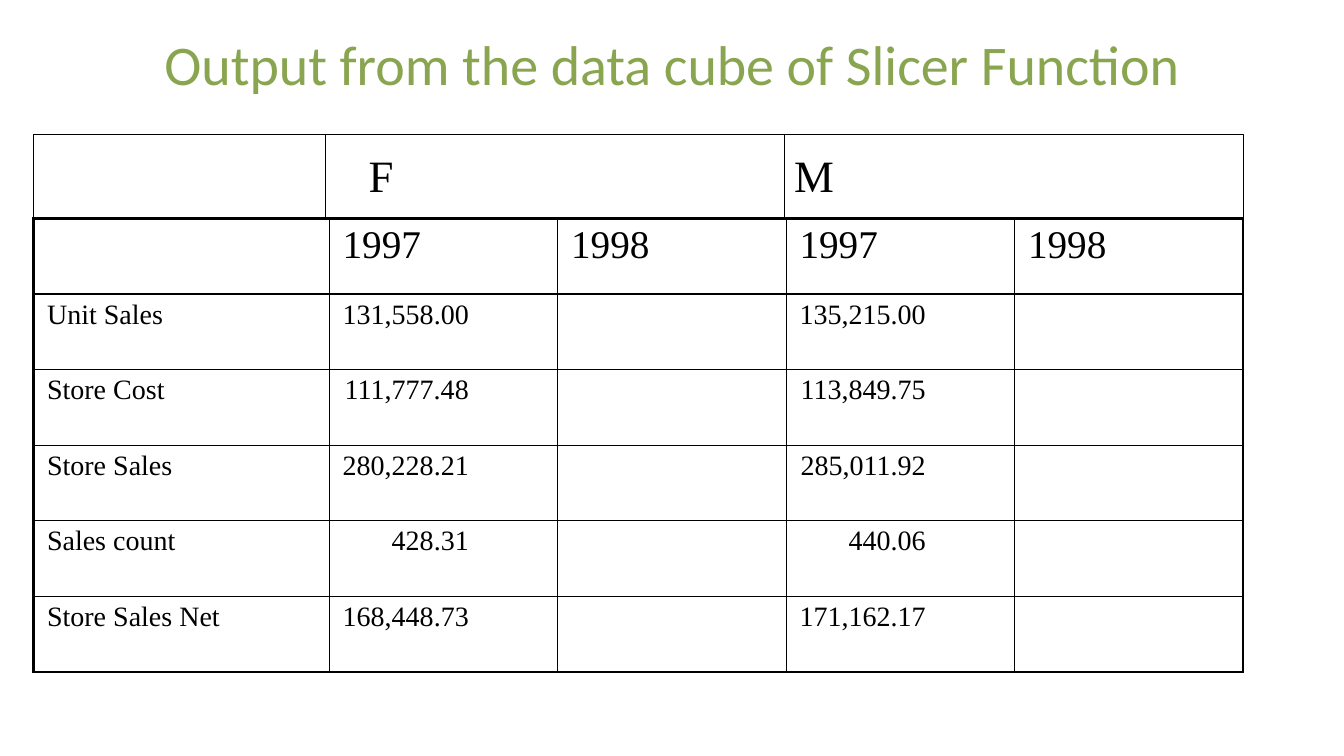
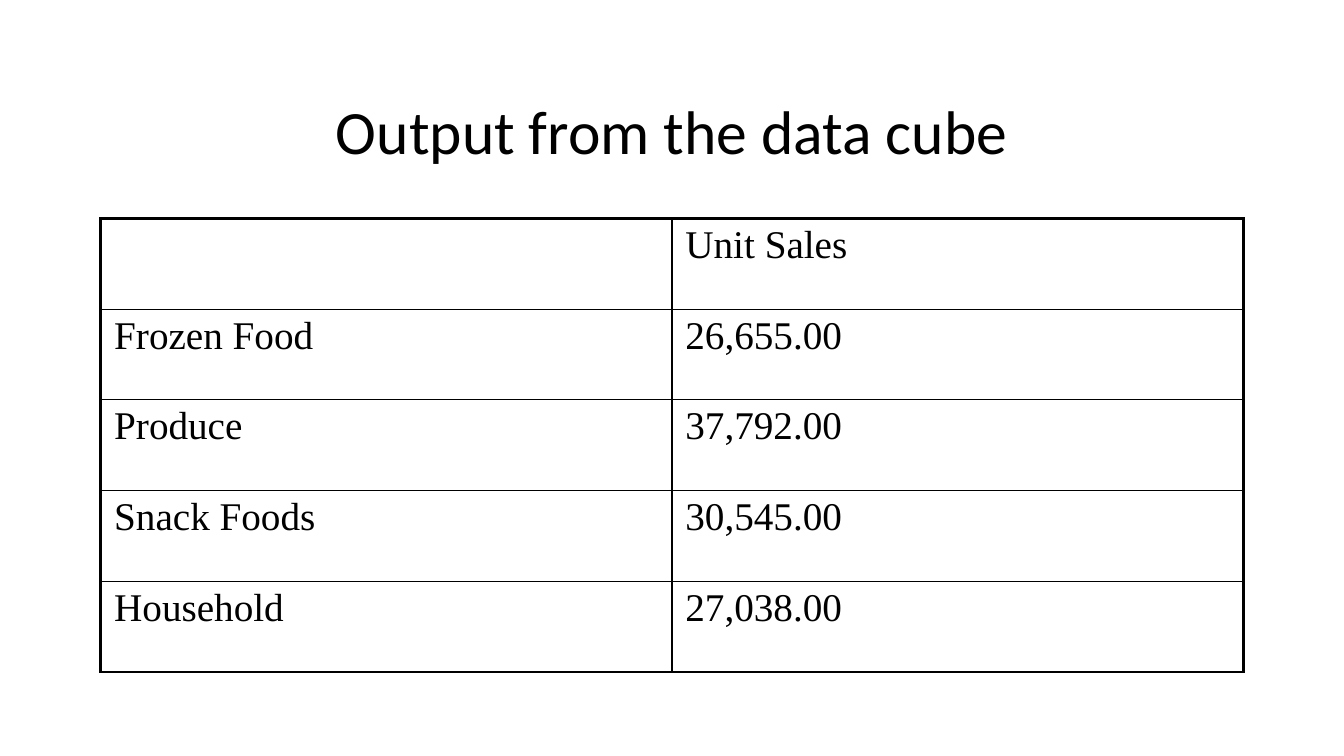
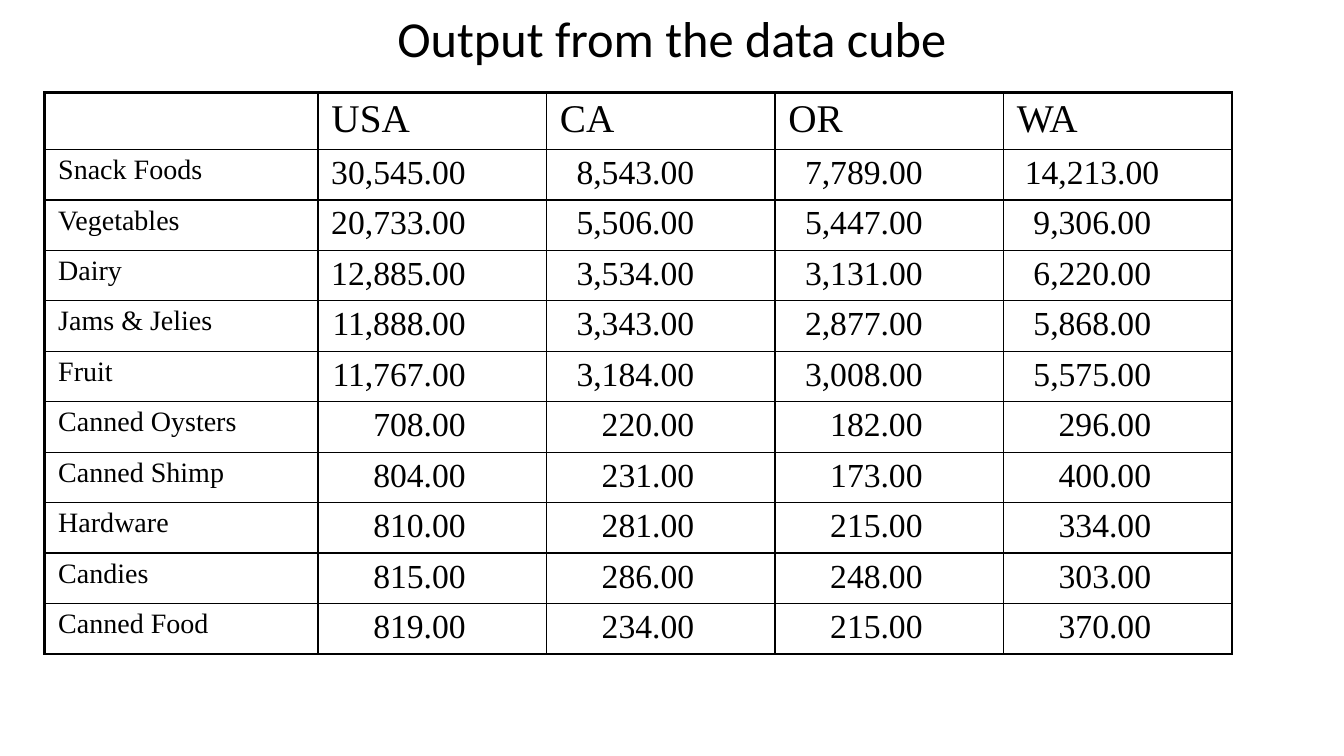
from lxml import etree
from pptx import Presentation
from pptx.dml.color import RGBColor
from pptx.enum import shapes, text
from pptx.oxml import ns
from pptx.util import Pt

INK = "000000"
GREEN = "89A54F"
TITLE_FONT = "Calibri"
BODY_FONT = "Times New Roman"
OUTER, INNER, HAIRLINE = 2.25, 1, 0.75
CELL_INSET = 9.6


def color(hex_string):
    return RGBColor.from_string(hex_string)


def write(frame, content, *, size, font=BODY_FONT, ink=INK,
          align=text.PP_ALIGN.LEFT):
    paragraph = frame.paragraphs[0]
    paragraph.alignment = align
    run = paragraph.add_run()
    run.text = content
    run.font.name = font
    run.font.size = Pt(size)
    run.font.color.rgb = color(ink)


def add_text(slide, box, content, *, anchor=text.MSO_ANCHOR.TOP, **style):
    frame = slide.shapes.add_textbox(*map(Pt, box)).text_frame
    frame.word_wrap = True
    frame.vertical_anchor = anchor
    write(frame, content, **style)


def add_title(slide, box, content, size, ink=INK):
    add_text(slide, box, content, anchor=text.MSO_ANCHOR.MIDDLE, size=size,
             font=TITLE_FONT, ink=ink, align=text.PP_ALIGN.CENTER)


def add_vertical_line(slide, x, top, bottom):
    line = slide.shapes.add_connector(
        shapes.MSO_CONNECTOR.STRAIGHT, Pt(x), Pt(top), Pt(x), Pt(bottom))
    line.line.color.rgb = color(INK)
    line.line.width = Pt(HAIRLINE)
    etree.SubElement(line._element.spPr, ns.qn("a:effectLst"))


def set_borders(cell, widths):
    """Draw the left, right, top and bottom borders, in that order."""
    properties = cell._tc.get_or_add_tcPr()
    for index, (side, width) in enumerate(zip("LRTB", widths)):
        border = etree.Element(ns.qn(f"a:ln{side}"), w=str(Pt(width)))
        fill = etree.SubElement(border, ns.qn("a:solidFill"))
        etree.SubElement(fill, ns.qn("a:srgbClr"), val=INK)
        properties.insert(index, border)


def add_grid(slide, box, rows, *, label_width, header_height, label_size,
             number_size, number_gap=None):
    """Add a framed table; number_gap is the space right of aligned numbers."""
    left, top, width, height = box
    last_row, last_column = len(rows) - 1, len(rows[0]) - 1
    table = slide.shapes.add_table(
        len(rows), len(rows[0]), *map(Pt, box)).table
    table.first_row = table.horz_banding = False
    for index, column in enumerate(table.columns):
        column.width = Pt((width - label_width) / last_column
                          if index else label_width)
    for index, row in enumerate(table.rows):
        row.height = Pt((height - header_height) / last_row
                        if index else header_height)

    for r, values in enumerate(rows):
        for c, value in enumerate(values):
            cell = table.cell(r, c)
            aligned = bool(r and c and number_gap)
            cell.margin_left = Pt(0 if aligned else CELL_INSET)
            cell.margin_right = Pt(number_gap if aligned else CELL_INSET)
            cell.margin_top = cell.margin_bottom = Pt(3.6)
            cell.fill.background()
            edges = (c == 0, c == last_column, r == 0, r == last_row)
            set_borders(cell, [OUTER if edge else INNER for edge in edges])
            if value:
                size = 28 if r == 0 else number_size if c else label_size
                write(cell.text_frame, value, size=size,
                      align=text.PP_ALIGN.RIGHT if aligned
                      else text.PP_ALIGN.LEFT)
    return table


def add_gender_band(slide, box):
    left, top, width, height = box
    band = slide.shapes.add_shape(
        shapes.MSO_SHAPE.RECTANGLE, *map(Pt, box))
    band.shadow.inherit = False
    band.fill.background()
    band.line.color.rgb = color(INK)
    band.line.width = Pt(HAIRLINE)
    for label, divider, indent in (("F", 208.2, 24), ("M", 536.2, 0)):
        add_vertical_line(slide, left + divider, top, top + height)
        add_text(slide, (left + divider + indent, top + 6, 112, 45), label,
                 size=32)


def slicer_slide(slide):
    add_title(slide, (-24, 0, 1008, 90),
              "Output from the data cube of Slicer Function", 40, GREEN)
    rows = [
        ("", "1997", "1998", "1997", "1998"),
        ("Unit Sales", "131,558.00", "", "135,215.00", ""),
        ("Store Cost", "111,777.48", "", "113,849.75", ""),
        ("Store Sales", "280,228.21", "", "285,011.92", ""),
        ("Sales count", "428.31", "", "440.06", ""),
        ("Store Sales Net", "168,448.73", "", "171,162.17", ""),
    ]
    add_grid(slide, (24, 156, 864, 324), rows, label_width=211.2,
             header_height=54, label_size=20, number_size=20, number_gap=63.5)
    add_gender_band(slide, (24, 96, 864, 60))


def unit_sales_slide(slide):
    add_title(slide, (72, 48, 816, 90), "Output from the data cube", 44)
    rows = [
        ("", "Unit Sales"),
        ("Frozen Food", "26,655.00"),
        ("Produce", "37,792.00"),
        ("Snack Foods", "30,545.00"),
        ("Household", "27,038.00"),
    ]
    add_grid(slide, (72, 156, 816, 324), rows, label_width=408,
             header_height=64.8, label_size=28, number_size=28)


def state_sales_slide(slide):
    add_title(slide, (72, 0, 816, 54), "Output from the data cube", 36)
    rows = [
        ("", "USA", "CA", "OR", "WA"),
        ("Snack Foods", "30,545.00", "8,543.00", "7,789.00", "14,213.00"),
        ("Vegetables", "20,733.00", "5,506.00", "5,447.00", "9,306.00"),
        ("Dairy", "12,885.00", "3,534.00", "3,131.00", "6,220.00"),
        ("Jams & Jelies", "11,888.00", "3,343.00", "2,877.00", "5,868.00"),
        ("Fruit", "11,767.00", "3,184.00", "3,008.00", "5,575.00"),
        ("Canned Oysters", "708.00", "220.00", "182.00", "296.00"),
        ("Canned Shimp", "804.00", "231.00", "173.00", "400.00"),
        ("Hardware", "810.00", "281.00", "215.00", "334.00"),
        ("Candies", "815.00", "286.00", "248.00", "303.00"),
        ("Canned Food", "819.00", "234.00", "215.00", "370.00"),
    ]
    table = add_grid(slide, (32, 66, 848, 400.75), rows, label_width=195.2,
                     header_height=40.75, label_size=20, number_size=24,
                     number_gap=57.8)
    washington_snacks = table.cell(1, 4)
    washington_snacks.margin_right = Pt(52)


def main():
    presentation = Presentation()
    presentation.slide_width = Pt(960)
    presentation.slide_height = Pt(540)
    blank = presentation.slide_layouts[6]
    for build in (slicer_slide, unit_sales_slide, state_sales_slide):
        build(presentation.slides.add_slide(blank))
    presentation.save("out.pptx")


if __name__ == "__main__":
    main()
